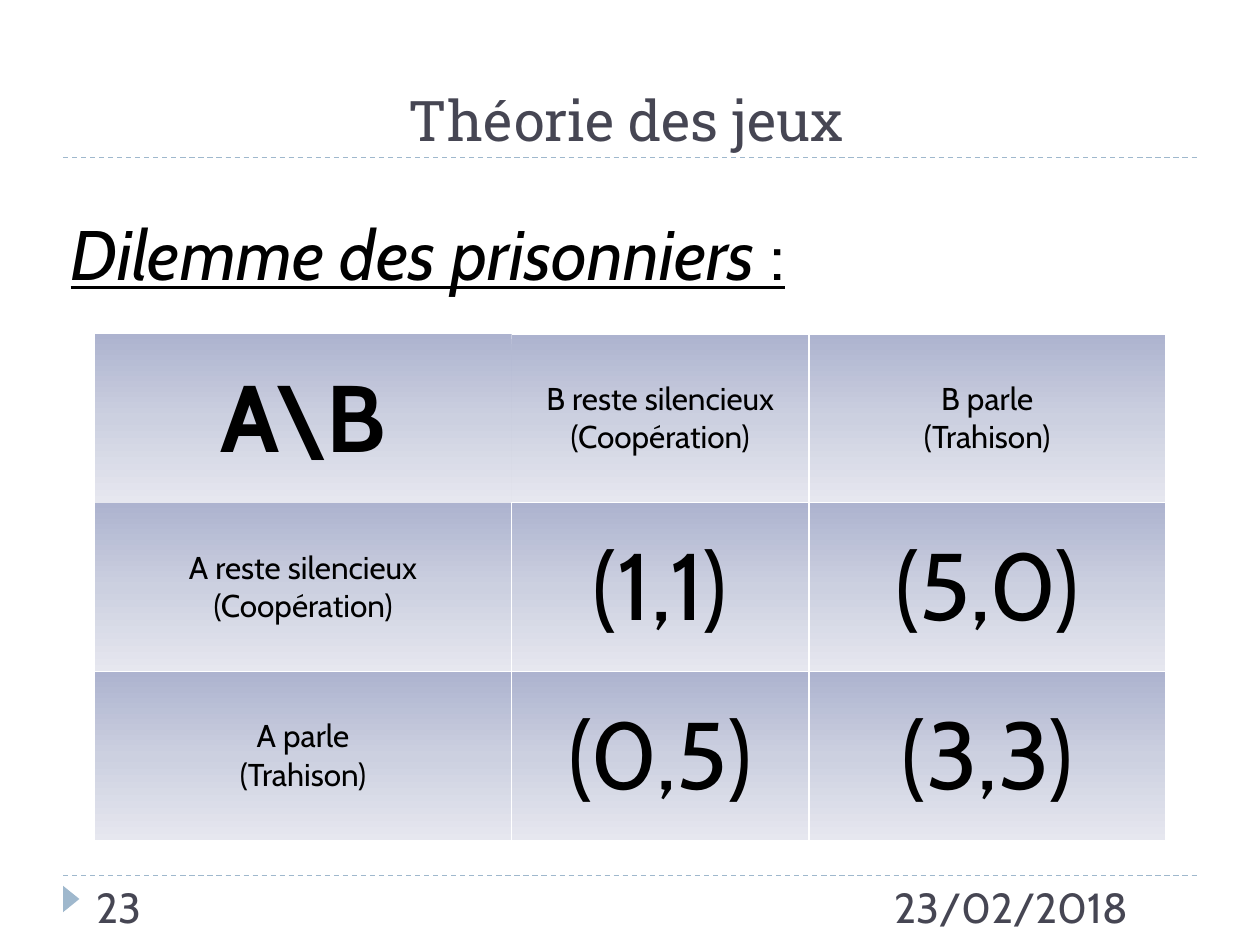
from dataclasses import dataclass

import pptx
import pptx.dml.color
import pptx.enum.dml
import pptx.enum.shapes
import pptx.enum.text
import pptx.oxml
import pptx.oxml.ns
import pptx.util
from lxml import etree

Inches = pptx.util.Inches
Pt = pptx.util.Pt
RGBColor = pptx.dml.color.RGBColor
Align = pptx.enum.text.PP_ALIGN
Anchor = pptx.enum.text.MSO_ANCHOR
Fit = pptx.enum.text.MSO_AUTO_SIZE

SLATE = RGBColor(0x46, 0x46, 0x53)
STEEL = RGBColor(0x9F, 0xB8, 0xCD)
BLACK = RGBColor(0, 0, 0)
WHITE = RGBColor(0xFF, 0xFF, 0xFF)
SHADES = (
    (0, RGBColor(0xAD, 0xB3, 0xCF)),
    (50, RGBColor(0xCC, 0xD0, 0xE0)),
    (100, RGBColor(0xE6, 0xE7, 0xEF)),
)
NS = pptx.oxml.ns.nsdecls("a")


@dataclass
class Box:
    left: float
    top: float
    width: float
    height: float


@dataclass
class Cell:
    text: str
    size: int = 54
    bold: bool = False
    sides: str = "LRTB"


GRID = (
    (Cell("A\\B", bold=True, sides=""),
     Cell("B reste silencieux\n(Coopération)", 18, sides="RTB"),
     Cell("B parle\n(Trahison)", 18)),
    (Cell("A reste silencieux\n(Coopération)", 18, sides="LRB"),
     Cell("(1,1)"), Cell("(5,0)")),
    (Cell("A parle\n(Trahison)", 18), Cell("(0,5)"), Cell("(3,3)")),
)
FRAME = Box(0.75, 2.65, 8.5, 4.02)
WIDTHS = (3.31, 2.36, 2.83)


def place(shape, box: Box) -> None:
    shape.left, shape.top = Inches(box.left), Inches(box.top)
    shape.width, shape.height = Inches(box.width), Inches(box.height)


def style(run, *, size: int, color=BLACK, face="Cabin", bold=False,
          italic=False, under=False) -> None:
    font = run.font
    font.name, font.size, font.bold = face, Pt(size), bold
    font.italic, font.underline = italic, under
    font.color.rgb = color


def write(frame, text: str, *, align=Align.LEFT, **form) -> None:
    """Fill a text frame, one paragraph for each line."""
    frame.text = text
    for para in frame.paragraphs:
        para.alignment = align
        for run in para.runs:
            style(run, **form)


def rule(slide, top: float) -> None:
    line = slide.shapes.add_connector(
        pptx.enum.shapes.MSO_CONNECTOR.STRAIGHT,
        Inches(0.5), Inches(top), Inches(9.5), Inches(top))
    line.line.color.rgb = STEEL
    line.line.width = Pt(0.75)
    line.line.dash_style = pptx.enum.dml.MSO_LINE.DASH
    etree.SubElement(line._element.spPr, pptx.oxml.ns.qn("a:effectLst"))


def label(slide, text: str, box: Box) -> None:
    note = slide.shapes.add_textbox(0, 0, 0, 0)
    place(note, box)
    note.text_frame.word_wrap = True
    write(note.text_frame, text, size=24, color=SLATE)


def paint(cell, sides: str) -> None:
    """Add the cell's borders, then its vertical gradient."""
    props = cell._tc.get_or_add_tcPr()
    for side in "LRTB":
        ink = (f'<a:solidFill><a:srgbClr val="{WHITE}"/></a:solidFill>'
               if side in sides else "<a:noFill/>")
        props.append(pptx.oxml.parse_xml(
            f'<a:ln{side} {NS} w="12700">{ink}</a:ln{side}>'))
    stops = "".join(
        f'<a:gs pos="{at * 1000}"><a:srgbClr val="{shade}"/></a:gs>'
        for at, shade in SHADES)
    props.append(pptx.oxml.parse_xml(
        f'<a:gradFill {NS} rotWithShape="1"><a:gsLst>{stops}</a:gsLst>'
        '<a:lin ang="5400000" scaled="0"/></a:gradFill>'))


def matrix(slide) -> None:
    shape = slide.shapes.add_table(len(GRID), len(WIDTHS), 0, 0, 0, 0)
    place(shape, FRAME)
    table = shape.table
    for col, width in zip(table.columns, WIDTHS):
        col.width = Inches(width)
    for line, row in zip(table.rows, GRID):
        line.height = Inches(FRAME.height / len(GRID))
        for cell, data in zip(line.cells, row):
            cell.vertical_anchor = Anchor.MIDDLE
            write(cell.text_frame, data.text, align=Align.CENTER,
                  size=data.size, bold=data.bold)
            paint(cell, data.sides)


def heading(slide) -> None:
    title = slide.shapes.title
    place(title, Box(0.47, 0.18, 9, 1.08))
    title.text_frame.vertical_anchor = Anchor.BOTTOM
    write(title.text_frame, "Théorie des jeux", align=Align.CENTER,
          size=32, color=SLATE, face="Roboto Slab")


def topic(slide) -> None:
    body = slide.placeholders[1]
    place(body, Box(0.46, 1.62, 9.01, 0.77))
    frame = body.text_frame
    frame.auto_size = Fit.SHAPE_TO_FIT_TEXT
    write(frame, "Dilemme des prisonniers ", align=Align.JUSTIFY,
          size=40, italic=True, under=True)
    para = frame.paragraphs[0]
    para.space_before = Pt(24)
    colon = para.add_run()
    colon.text = ":"
    style(colon, size=40, under=True)
    props = para._p.get_or_add_pPr()
    props.set("marL", "0")
    props.set("indent", "0")
    etree.SubElement(props, pptx.oxml.ns.qn("a:buNone"))


def marker(slide) -> None:
    mark = slide.shapes.add_shape(
        pptx.enum.shapes.MSO_SHAPE.ISOSCELES_TRIANGLE, 0, 0, 0, 0)
    place(mark, Box(0.46, 7.07, 0.21, 0.13))
    mark.rotation = 90
    mark.shadow.inherit = False
    mark.fill.solid()
    mark.fill.fore_color.rgb = STEEL
    mark.line.fill.background()


def main() -> None:
    deck = pptx.Presentation()
    deck.slide_width, deck.slide_height = Inches(10), Inches(7.5)
    slide = deck.slides.add_slide(deck.slide_layouts[1])
    for top in (6.95, 1.25):
        rule(slide, top)
    marker(slide)
    heading(slide)
    label(slide, "23/02/2018", Box(7, 6.95, 2.5, 0.4))
    label(slide, "23", Box(0.67, 6.95, 2.17, 0.4))
    topic(slide)
    matrix(slide)
    deck.save("out.pptx")


if __name__ == "__main__":
    main()
